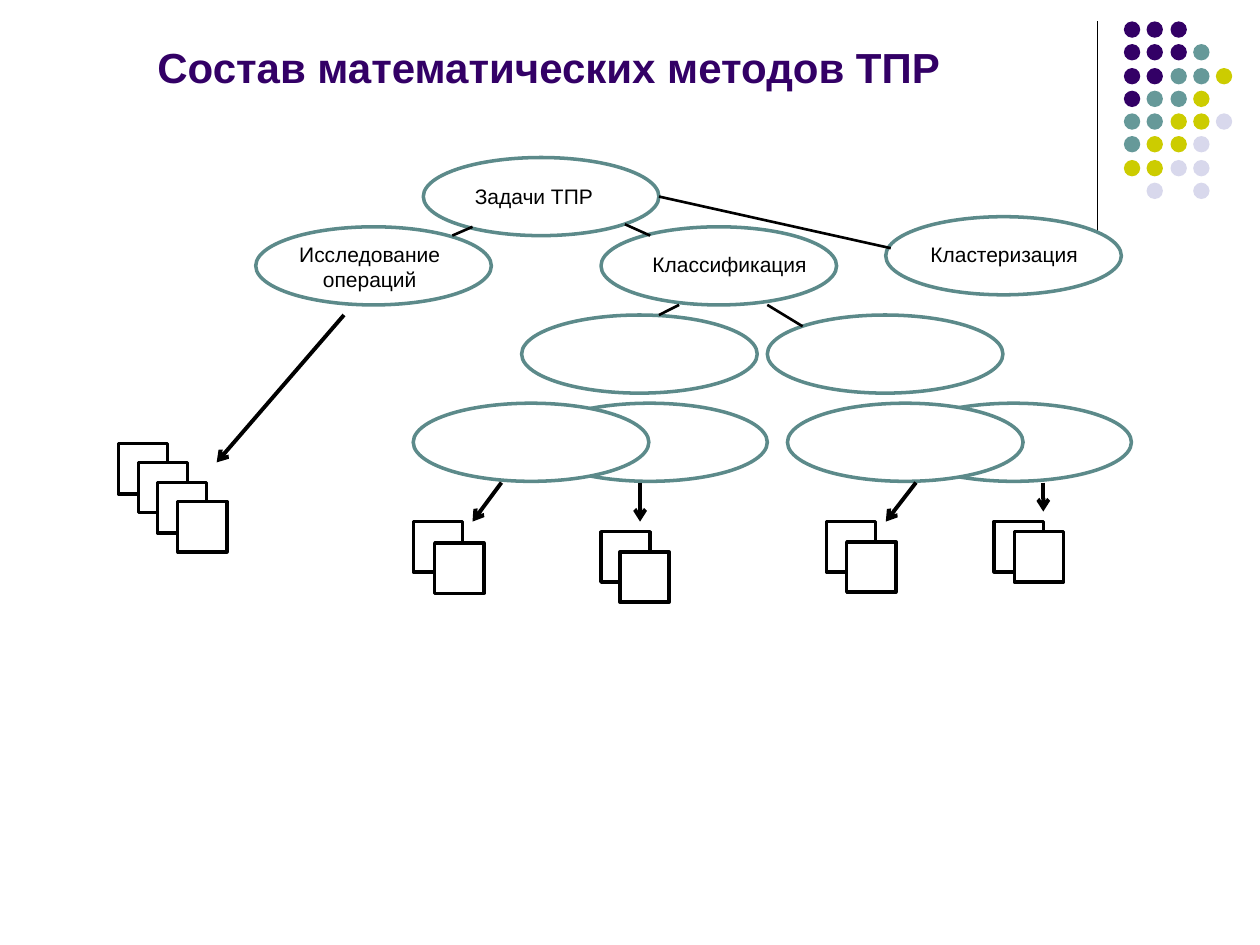
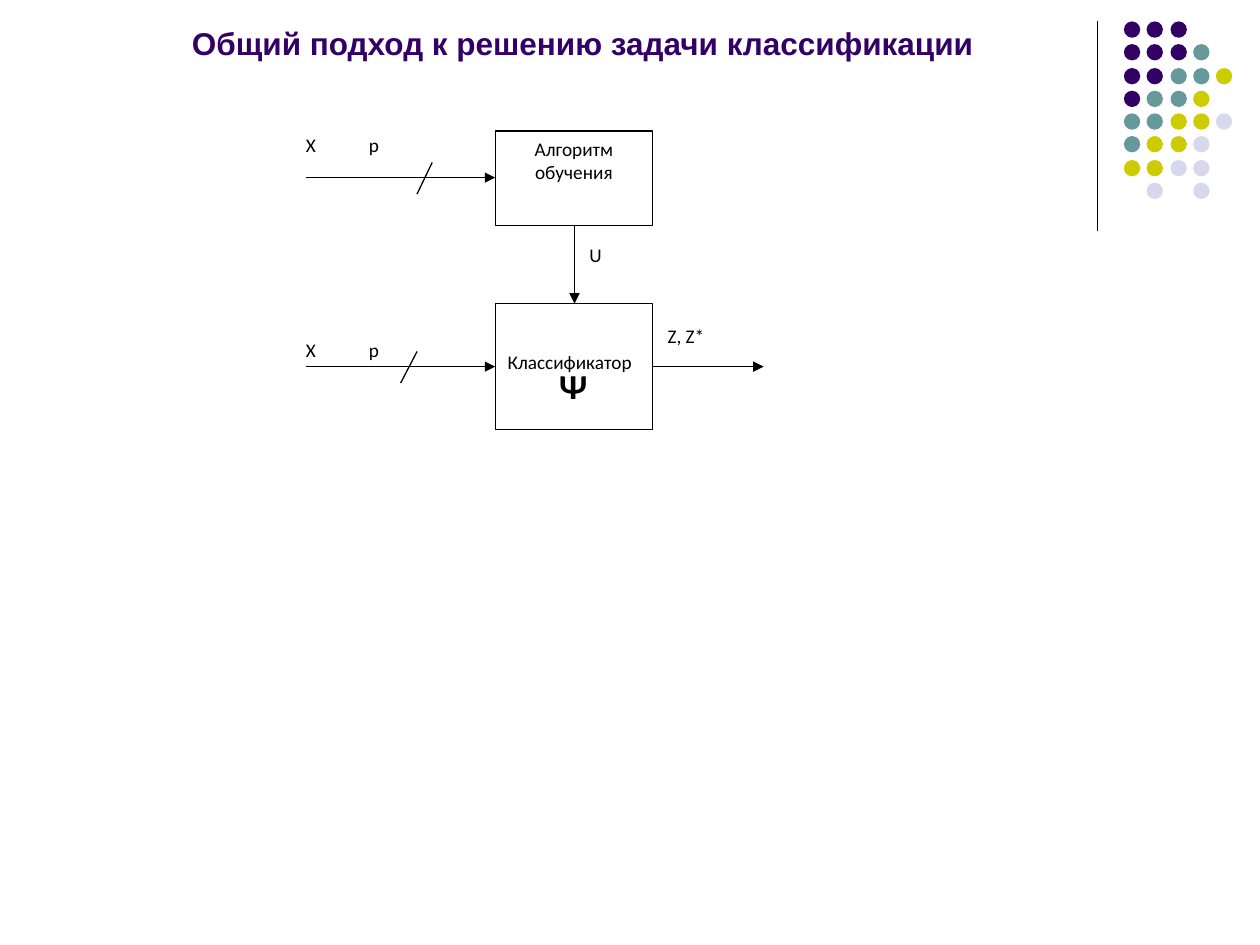
from lxml.etree import SubElement
from pptx import Presentation
from pptx.dml.color import RGBColor
from pptx.enum.shapes import MSO_CONNECTOR, MSO_SHAPE
from pptx.enum.text import MSO_ANCHOR, MSO_AUTO_SIZE, PP_ALIGN
from pptx.oxml.ns import qn
from pptx.util import Emu, Pt

SCALE = 9144
TITLE_ONLY = 5
BLACK, WHITE, VIOLET, OUTLINE = "000000", "FFFFFF", "330066", "5C8A8A"
DOT_COLORS = {"v": VIOLET, "t": "669999", "y": "CCCC00", "l": "D8D8EC"}
DOT_ROWS = ["vvv", "vvvt", "vvtty", "vtty", "ttyyl", "tyyl", "yyll", " l l"]
DOT_PITCH, DOT_SIZE = 18.3, 13
ELLIPSE, SQUARE = (187, 62), (39, 40)


def px(length):
    return Emu(round(length * SCALE))


def color(value):
    return RGBColor.from_string(value)


def apply(target, formats):
    for attribute, value in formats.items():
        setattr(target, attribute, value)


class Deck:
    def __init__(self):
        self.presentation = Presentation()
        apply(self.presentation, {"slide_width": px(1000), "slide_height": px(750)})
        self.layout = self.presentation.slide_layouts[TITLE_ONLY]
        self.slide = None
        self.frame_format = {
            "word_wrap": True,
            "auto_size": MSO_AUTO_SIZE.NONE,
            "vertical_anchor": MSO_ANCHOR.TOP,
            "margin_left": px(10),
            "margin_right": px(10),
            "margin_top": px(5),
            "margin_bottom": px(5),
        }

    def new_slide(self, heading, box, size):
        self.slide = self.presentation.slides.add_slide(self.layout)
        title = self.slide.shapes.title
        apply(title, dict(zip(("left", "top", "width", "height"), map(px, box))))
        self.fill_text(title, [{"text": heading, "align": PP_ALIGN.CENTER}],
                       {"name": "Arial", "size": Pt(size), "bold": True}, VIOLET,
                       {"vertical_anchor": MSO_ANCHOR.BOTTOM})

    def fill_text(self, holder, paragraphs, font, ink=BLACK, frame_changes=None):
        frame = holder.text_frame
        apply(frame, {**self.frame_format, **(frame_changes or {})})
        for index, part in enumerate(paragraphs):
            paragraph = frame.add_paragraph() if index else frame.paragraphs[0]
            properties = paragraph._p.get_or_add_pPr()
            properties.set("marL", str(px(part.get("indent", 0))))
            properties.set("indent", "0")
            if "tab" in part:
                stops = SubElement(properties, qn("a:tabLst"))
                SubElement(stops, qn("a:tab"), pos=str(px(part["tab"])), algn="l")
            apply(paragraph, {
                "alignment": part.get("align", PP_ALIGN.LEFT),
                "space_before": Pt(part.get("before", 0)),
            })
            run = paragraph.add_run()
            run.text = part["text"]
            apply(run.font, {**font, **part.get("font", {})})
            run.font.color.rgb = color(ink)

    def text(self, box, paragraphs, font):
        self.fill_text(self.slide.shapes.add_textbox(*map(px, box)), paragraphs, font)

    def shape(self, kind, box, fill=WHITE, outline=None, weight=2):
        figure = self.slide.shapes.add_shape(kind, *map(px, box))
        figure.shadow.inherit = False
        figure.fill.solid()
        figure.fill.fore_color.rgb = color(fill)
        if outline:
            figure.line.color.rgb = color(outline)
            figure.line.width = Pt(weight)
        else:
            figure.line.fill.background()
        return figure

    def line(self, ends, weight, head=None):
        connector = self.slide.shapes.add_connector(MSO_CONNECTOR.STRAIGHT, *map(px, ends))
        connector.line.color.rgb = color(BLACK)
        connector.line.width = Pt(weight)
        properties = connector.element.spPr
        if head:
            SubElement(properties.find(qn("a:ln")), qn("a:tailEnd"), type=head)
        SubElement(properties, qn("a:effectLst"))
        return connector

    def stack(self, first, last, count):
        for index in range(count):
            corner = [a + round((b - a) * index / (count - 1)) for a, b in zip(first, last)]
            self.shape(MSO_SHAPE.RECTANGLE, (*corner, *SQUARE), outline=BLACK)

    def decorate_layout(self):
        tree = self.layout.shapes.element
        for placeholder in list(self.layout.placeholders)[1:]:
            tree.remove(placeholder.element)
        ornament = [self.line((871, 17, 871, 183), 0.75)]
        for row, marks in enumerate(DOT_ROWS):
            for column, mark in enumerate(marks):
                if mark in DOT_COLORS:
                    corner = (round(892 + DOT_PITCH * column), round(17 + DOT_PITCH * row))
                    ornament.append(self.shape(
                        MSO_SHAPE.OVAL, (*corner, DOT_SIZE, DOT_SIZE), DOT_COLORS[mark]))
        for item in ornament:
            tree.append(item.element)


def build_methods(deck):
    deck.new_slide("Состав математических методов ТПР", (23, 23, 825, 55), 24)
    deck.decorate_layout()

    nodes = [(336, 125), (203, 180), (477, 180), (414, 250), (609, 250),
             (422, 320), (328, 320), (711, 320), (625, 320), (703, 172)]
    for node in nodes:
        deck.shape(MSO_SHAPE.OVAL, (*node, *ELLIPSE), outline=OUTLINE)

    method_stacks = [
        ((94, 352), (141, 398), 4),
        ((328, 414), (345, 431), 2),
        ((477, 422), (492, 438), 2),
        ((656, 414), (672, 430), 2),
        ((789, 414), (805, 422), 2),
    ]
    for first, last, count in method_stacks:
        deck.stack(first, last, count)

    node_labels = [
        ("Задачи ТПР", (367, 141, 133, 30), PP_ALIGN.LEFT),
        ("Исследование операций", (227, 187, 133, 50), PP_ALIGN.CENTER),
        ("Классификация", (508, 195, 148, 30), PP_ALIGN.LEFT),
        ("Кластеризация", (719, 187, 156, 30), PP_ALIGN.CENTER),
    ]
    for label, box, align in node_labels:
        deck.text(box, [{"text": label, "align": align}], {"name": "Arial", "size": Pt(12)})

    arrows_to_stacks = [(273, 250, 172, 367), (398, 383, 375, 414), (727, 383, 703, 414),
                        (508, 383, 508, 414), (828, 383, 828, 406)]
    for ends in arrows_to_stacks:
        deck.line(ends, 2.25, "arrow")

    branches = [(523, 156, 707, 197), (496, 178, 516, 187), (375, 180, 359, 187),
                (609, 242, 637, 259), (539, 242, 523, 250)]
    for ends in branches:
        deck.line(ends, 1.5)


def build_classification(deck):
    deck.new_slide("Общий подход к решению задачи классификации", (50, 13, 825, 41), 18)
    font = {"name": "Calibri", "size": Pt(11)}

    blocks = [
        ("Классификатор", (393, 241, 125, 100), PP_ALIGN.LEFT, 37),
        ("Алгоритм обучения", (393, 104, 125, 75), PP_ALIGN.CENTER, 5),
    ]
    for label, box, align, top in blocks:
        block = deck.shape(MSO_SHAPE.RECTANGLE, box, outline=BLACK, weight=0.75)
        deck.fill_text(block, [{"text": label, "align": align}], font,
                       frame_changes={"margin_top": px(top)})

    flows = [(243, 291, 393, 291), (456, 179, 456, 241),
             (518, 291, 606, 291), (243, 141, 393, 141)]
    for ends in flows:
        deck.line(ends, 0.75, "triangle")

    dimension_marks = [(331, 279, 318, 304), (343, 129, 331, 154)]
    for ends in dimension_marks:
        deck.line(ends, 0.75)

    deck.text((233, 101, 137, 188), [
        {"text": "X\tp", "tab": 77},
        {"text": "X\tp", "tab": 63, "before": 104},
    ], font)
    deck.text((428, 188, 187, 164), [
        {"text": "U", "indent": 30},
        {"text": "Z, Z*", "indent": 92, "before": 33},
        {"text": "Ψ", "indent": 6, "before": 10, "font": {"size": Pt(20), "bold": True}},
    ], font)


def main():
    deck = Deck()
    build_methods(deck)
    build_classification(deck)
    deck.presentation.save("out.pptx")


if __name__ == "__main__":
    main()
